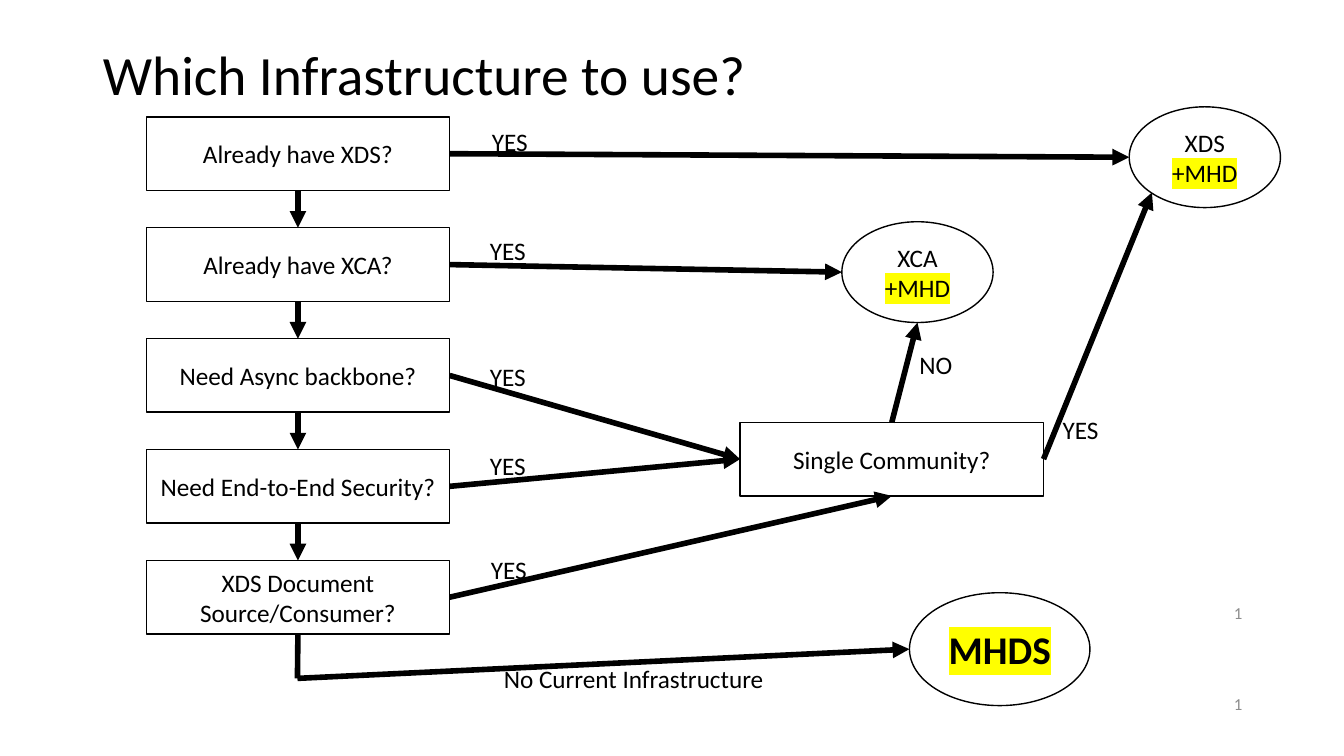
from lxml import etree
from pptx import Presentation
from pptx.dml.color import RGBColor
from pptx.enum import shapes, text
from pptx.oxml.ns import qn
from pptx.util import Inches, Pt

FONT = "Calibri"
COLORS = {"ink": "000000", "paper": "FFFFFF", "number": "8C8C8C", "mark": "FFFF00"}
RECT, OVAL = shapes.MSO_SHAPE.RECTANGLE, shapes.MSO_SHAPE.OVAL
BOX_WIDTH, BOX_HEIGHT, BOX_STEP = 3.01, 0.73, 1.1

# Connection sites, numbered as in the preset shapes, as fractions of the size
SITES = {
    RECT: [(0.5, 0), (0, 0.5), (0.5, 1), (1, 0.5)],
    OVAL: [(0.5, 0), (0.15, 0.15), (0, 0.5), (0.15, 0.85),
           (0.5, 1), (0.85, 0.85), (1, 0.5), (0.85, 0.15)],
}
TOP, LEFT, BOTTOM, RIGHT = range(4)
OVAL_LEFT, OVAL_LOWER_LEFT, OVAL_BOTTOM = 2, 3, 4


def color(name):
    return RGBColor.from_string(COLORS[name])


def style_span(span, size, ink="ink", bold=None, marked=False):
    span.font.name = FONT
    span.font.size = Pt(size)
    span.font.bold = bold
    span.font.color.rgb = color(ink)
    if marked:
        highlight = etree.Element(qn("a:highlight"))
        etree.SubElement(highlight, qn("a:srgbClr")).set("val", COLORS["mark"])
        span._r.rPr.find(qn("a:solidFill")).addnext(highlight)


def add_node(page, kind, left, top, width, height, words="", marked="",
             size=18, bold=None, outline="ink"):
    node = page.shapes.add_shape(
        kind, Inches(left), Inches(top), Inches(width), Inches(height))
    node.shadow.inherit = False
    node.fill.solid()
    node.fill.fore_color.rgb = color("paper")
    node.line.color.rgb = color(outline)
    node.line.width = Pt(1)
    node.text_frame.word_wrap = True
    node.text_frame.vertical_anchor = text.MSO_ANCHOR.MIDDLE
    para = node.text_frame.paragraphs[0]
    para.alignment = text.PP_ALIGN.CENTER
    for part, is_marked in ((words, False), (marked, True)):
        if part:
            span = para.add_run()
            span.text = part
            style_span(span, size, bold=bold, marked=is_marked)
    return node


def add_box(page, left, top, words, outline="ink"):
    return add_node(page, RECT, left, top, BOX_WIDTH, BOX_HEIGHT, words, outline=outline)


def add_label(page, left, top, words):
    label = page.shapes.add_textbox(Inches(left), Inches(top), Inches(0.56), Inches(0.4))
    label.text_frame.text = words
    label.text_frame.word_wrap = False
    style_span(label.text_frame.paragraphs[0].runs[0], 18)


def add_page_number(page, top):
    number = page.shapes.add_textbox(Inches(9.42), Inches(top), Inches(3), Inches(0.4))
    number.text_frame.text = "1"
    number.text_frame.word_wrap = True
    number.text_frame.vertical_anchor = text.MSO_ANCHOR.MIDDLE
    para = number.text_frame.paragraphs[0]
    para.alignment = text.PP_ALIGN.RIGHT
    style_span(para.runs[0], 12, "number")


def is_site(tip):
    return hasattr(tip[0], "shape_id")


def tip_point(tip):
    if not is_site(tip):
        return Inches(tip[0]), Inches(tip[1])
    node, site = tip
    across, down = SITES[node.auto_shape_type][site]
    return int(node.left + across * node.width), int(node.top + down * node.height)


def add_line(page, start, end, arrow=True):
    """Each end is either a (node, site) pair or a (x, y) point in inches."""
    line = page.shapes.add_connector(
        shapes.MSO_CONNECTOR.STRAIGHT, *tip_point(start), *tip_point(end))
    line.line.color.rgb = color("ink")
    line.line.width = Pt(4)
    properties = line._element.spPr
    if arrow:
        tail = etree.SubElement(properties.find(qn("a:ln")), qn("a:tailEnd"))
        tail.set("type", "triangle")
    etree.SubElement(properties, qn("a:effectLst"))
    # Glue in XML, since the public methods know only four sites
    glue = line._element.find(".//" + qn("p:cNvCxnSpPr"))
    for tag, tip in (("a:stCxn", start), ("a:endCxn", end)):
        if is_site(tip):
            node, site = tip
            etree.SubElement(glue, qn(tag), id=str(node.shape_id), idx=str(site))


def set_title(page, words):
    title = page.shapes.title
    title.left, title.top = Inches(0.92), Inches(0.4)
    title.width, title.height = Inches(11.9), Inches(0.73)
    title.text_frame.text = words
    title.text_frame.auto_size = text.MSO_AUTO_SIZE.NONE
    title.text_frame.vertical_anchor = text.MSO_ANCHOR.MIDDLE
    para = title.text_frame.paragraphs[0]
    para.alignment = text.PP_ALIGN.LEFT
    para.line_spacing = 0.9
    style_span(para.runs[0], 39.6)


def main():
    deck = Presentation()
    deck.slide_width, deck.slide_height = Inches(13.33), Inches(7.5)
    page = deck.slides.add_slide(deck.slide_layouts[5])
    set_title(page, "Which Infrastructure to use?")
    for top in (5.88, 6.78):
        add_page_number(page, top)

    # Questions, from top to bottom
    questions = [
        add_box(page, 1.45, 1.16 + row * BOX_STEP, words)
        for row, words in enumerate([
            "Already have XDS?", "Already have XCA?", "Need Async backbone?",
            "Need End-to-End Security?", "XDS Document Source/Consumer?"])]
    have_xds, have_xca, need_async, need_security, document = questions
    community = add_box(page, 7.34, 4.19, "Single Community?")
    add_box(page, 4.78, 6.37, "No Current Infrastructure", outline="paper")

    # Outcomes
    xds = add_node(page, OVAL, 11.2, 1.06, 1.5, 1, "XDS ", "+MHD")
    xca = add_node(page, OVAL, 8.35, 2.2, 1.5, 1, "XCA ", "+MHD")
    mhds = add_node(page, OVAL, 9.02, 5.88, 1.79, 1.12, marked="MHDS", size=28, bold=True)

    # Answers beside the arrows
    for left, top, words in [
            (4.78, 1.2, "YES"), (4.76, 2.29, "YES"), (4.76, 3.54, "YES"),
            (4.76, 4.42, "YES"), (4.77, 5.45, "YES"), (10.44, 4.06, "YES"),
            (9.02, 3.42, "NO")]:
        add_label(page, left, top, words)

    # Arrows down the questions, then out to the outcomes
    for upper, lower in zip(questions, questions[1:]):
        add_line(page, (upper, BOTTOM), (lower, TOP))
    for start, end in [
            ((have_xds, RIGHT), (xds, OVAL_LEFT)),
            ((have_xca, RIGHT), (xca, OVAL_LEFT)),
            ((need_async, RIGHT), (community, LEFT)),
            ((need_security, RIGHT), (community, LEFT)),
            ((document, RIGHT), (community, BOTTOM)),
            ((community, TOP), (xca, OVAL_BOTTOM)),
            ((community, RIGHT), (xds, OVAL_LOWER_LEFT))]:
        add_line(page, start, end)

    # Fallback path
    corner = (2.95, 6.73)
    add_line(page, (document, BOTTOM), corner, arrow=False)
    add_line(page, corner, (mhds, OVAL_LEFT))

    deck.save("out.pptx")


main()
